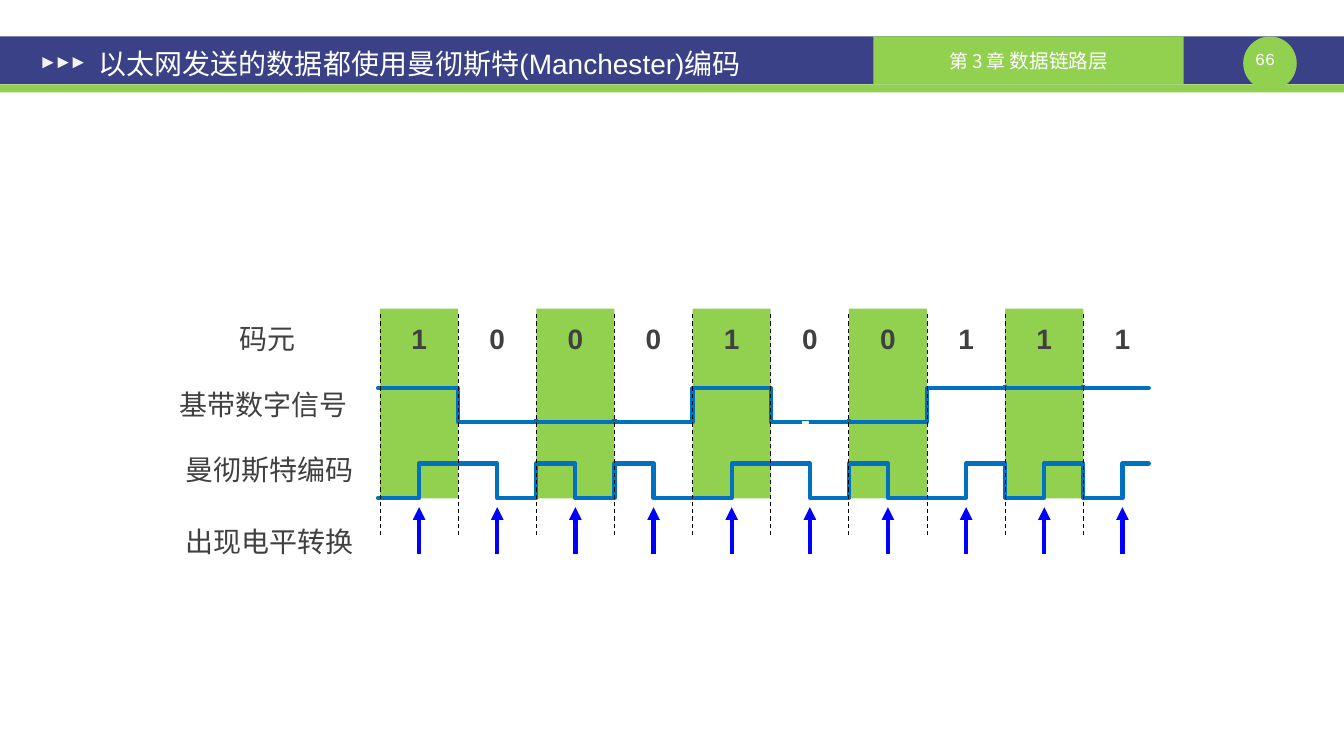
"""Build the slide on Manchester encoding in Ethernet."""
from dataclasses import dataclass

import lxml.etree
import pptx
import pptx.dml.color
import pptx.enum.dml
import pptx.enum.shapes
import pptx.enum.text
import pptx.oxml.ns
import pptx.util

Cm = pptx.util.Cm
Pt = pptx.util.Pt
Shape = pptx.enum.shapes.MSO_SHAPE
Align = pptx.enum.text.PP_ALIGN
qn = pptx.oxml.ns.qn

NAVY, GREEN, BLUE, ARROW_BLUE = "3A4187", "92D050", "0070C0", "0000FF"
WHITE, PALE, GREY, BLACK = "FFFFFF", "F2F2F2", "404040", "000000"

BITS = [1, 0, 0, 0, 1, 0, 0, 1, 1, 1]
CELL = 1.97
FIRST_EDGE = 9.58
WAVE_START, WAVE_END = 9.53, 28.96
BASE_HIGH, BASE_LOW = 9.78, 10.64
CODE_HIGH, CODE_LOW = 11.68, 12.55
SYMBOL_TOP = 7.98


@dataclass
class Block:
    kind: int
    left: float
    top: float
    width: float
    height: float
    fill: str
    rotation: int = 0


@dataclass
class Label:
    text: str
    left: float
    top: float
    width: float = 4.9
    bold: bool = False
    align: int = Align.LEFT


@dataclass
class Stroke:
    color: str
    width: float
    dashed: bool = False
    arrow: bool = False


SIGNAL = Stroke(BLUE, 3)
CELL_EDGE = Stroke(BLACK, 0.75, dashed=True)
TRANSITION = Stroke(ARROW_BLUE, 3, arrow=True)

HEADER = [
    Block(Shape.RECTANGLE, 0, 0.92, 33.88, 1.2, NAVY),
    Block(Shape.RECTANGLE, 0, 2.13, 33.88, 0.2, GREEN),
    Block(Shape.OVAL, 31.34, 0.92, 1.35, 1.35, GREEN),
] + [Block(Shape.ISOSCELES_TRIANGLE, 1.07 + 0.38 * i, 1.44, 0.28, 0.28, PALE, 90) for i in range(3)]

ROW_LABELS = [
    Label("码元", 5.79, SYMBOL_TOP),
    Label("基带数字信号", 4.27, 9.65),
    Label("曼彻斯特编码", 4.42, 11.28),
    Label("出现电平转换", 4.42, 13.08),
]


def rgb(color: str) -> pptx.dml.color.RGBColor:
    """Turn a hex string into a colour."""
    return pptx.dml.color.RGBColor.from_string(color)


def set_font(font, name: str, size: float, color: str, bold: bool = False) -> None:
    """Format a paragraph or span font."""
    font.name, font.size, font.bold = name, Pt(size), bold
    font.color.rgb = rgb(color)


def add_block(page, block: Block):
    """Draw a filled preset shape without outline."""
    shape = page.shapes.add_shape(
        block.kind, Cm(block.left), Cm(block.top), Cm(block.width), Cm(block.height))
    shape.fill.solid()
    shape.fill.fore_color.rgb = rgb(block.fill)
    shape.line.fill.background()
    shape.shadow.inherit = False
    shape.rotation = block.rotation
    return shape


def add_label(page, label: Label) -> None:
    """Draw a diagram label."""
    box = page.shapes.add_textbox(Cm(label.left), Cm(label.top), Cm(label.width), Cm(1.09))
    box.text_frame.word_wrap = True
    para = box.text_frame.paragraphs[0]
    para.text, para.alignment = label.text, label.align
    set_font(para.font, "Arial", 20, GREY, label.bold)


def add_line(page, x: float, start: float, end: float, stroke: Stroke) -> None:
    """Draw a vertical line."""
    line = page.shapes.add_connector(
        pptx.enum.shapes.MSO_CONNECTOR.STRAIGHT, Cm(x), Cm(start), Cm(x), Cm(end))
    line.line.color.rgb = rgb(stroke.color)
    line.line.width = Pt(stroke.width)
    if stroke.dashed:
        line.line.dash_style = pptx.enum.dml.MSO_LINE.DASH
    properties = line.element.spPr
    if stroke.arrow:
        lxml.etree.SubElement(properties.find(qn("a:ln")), qn("a:tailEnd"), type="triangle")
    lxml.etree.SubElement(properties, qn("a:effectLst"))


def add_wave(page, levels: list[int], step: float, high: float, low: float) -> None:
    """Draw a two-level signal that may change at every step."""
    heights = [high if level else low for level in levels]
    points = []
    for i in range(1, len(heights)):
        if heights[i] != heights[i - 1]:
            x = FIRST_EDGE + i * step
            points += [(x, heights[i - 1]), (x, heights[i])]
    points.append((WAVE_END, heights[-1]))
    builder = page.shapes.build_freeform(Cm(WAVE_START), Cm(heights[0]))
    builder.add_line_segments([(Cm(x), Cm(y)) for x, y in points], close=False)
    wave = builder.convert_to_shape()
    wave.fill.background()
    wave.line.color.rgb = rgb(SIGNAL.color)
    wave.line.width = Pt(SIGNAL.width)
    wave.shadow.inherit = False
    outline = wave.element.spPr.find(qn("a:ln"))
    outline.set("cap", "rnd")
    lxml.etree.SubElement(outline, qn("a:round"))


def add_header(page) -> None:
    """Draw the title bar, chapter name and page number."""
    for block in HEADER:
        add_block(page, block)
    chapter = add_block(page, Block(Shape.RECTANGLE, 22.02, 0.92, 7.82, 1.2, GREEN))
    para = chapter.text_frame.paragraphs[0]
    para.alignment = Align.CENTER
    for text, size in (("第 3 章 ", 13.5), ("数据链路层", 14)):
        span = para.add_run()
        span.text = text
        set_font(span.font, "Noto Sans CJK SC", size, WHITE)

    number = page.shapes.add_textbox(Cm(31.22), Cm(1.22), Cm(1.35), Cm(0.5)).text_frame
    number.margin_left = number.margin_right = number.margin_top = number.margin_bottom = 0
    number.word_wrap = True
    para = number.paragraphs[0]
    para.text, para.alignment = "66", Align.CENTER
    set_font(para.font, "Courier New", 12, WHITE)

    title = page.shapes.title
    title.left, title.top, title.width, title.height = Cm(2.16), Cm(0.99), Cm(19.94), Cm(1.2)
    frame = title.text_frame
    frame.text = "以太网发送的数据都使用曼彻斯特(Manchester)编码"
    frame.auto_size = pptx.enum.text.MSO_AUTO_SIZE.NONE
    frame.vertical_anchor = pptx.enum.text.MSO_ANCHOR.MIDDLE
    frame.margin_left = frame.margin_right = Cm(0.33)
    frame.paragraphs[0].alignment = Align.LEFT
    set_font(frame.paragraphs[0].font, "Arial", 20, WHITE)
    title.element.getparent().append(title.element)


def add_diagram(page) -> None:
    """Draw the symbols, both signals and the level transitions."""
    edges = [FIRST_EDGE + i * CELL for i in range(len(BITS))]
    for edge in edges[::2]:
        add_block(page, Block(Shape.RECTANGLE, edge, 7.78, CELL, 4.78, GREEN))
    for label in ROW_LABELS:
        add_label(page, label)
    for edge, bit in zip(edges, BITS):
        add_label(page, Label(str(bit), edge, SYMBOL_TOP, CELL, True, Align.CENTER))
    add_wave(page, BITS, CELL, BASE_HIGH, BASE_LOW)
    for i in range(1, len(BITS)):
        if BITS[i] == BITS[i - 1]:
            level = BASE_HIGH if BITS[i] else BASE_LOW
            add_line(page, edges[i], level, level - 0.08, SIGNAL)
    halves = [level for bit in BITS for level in (1 - bit, bit)]
    add_wave(page, halves, CELL / 2, CODE_HIGH, CODE_LOW)
    gap = add_block(page, Block(Shape.RECTANGLE, 20.24, 10.62, 0.13, 0.05, WHITE))
    gap.line.color.rgb = rgb(WHITE)
    gap.line.width = Pt(0.75)
    for edge in edges:
        add_line(page, edge, 13.48, 7.9, CELL_EDGE)
        add_line(page, edge + CELL / 2, 13.97, 12.78, TRANSITION)


def main() -> None:
    """Create and save the deck."""
    deck = pptx.Presentation()
    deck.slide_width, deck.slide_height = Cm(33.88), Cm(19.05)
    page = deck.slides.add_slide(deck.slide_layouts[5])
    add_header(page)
    add_diagram(page)
    deck.save("out.pptx")


if __name__ == "__main__":
    main()
